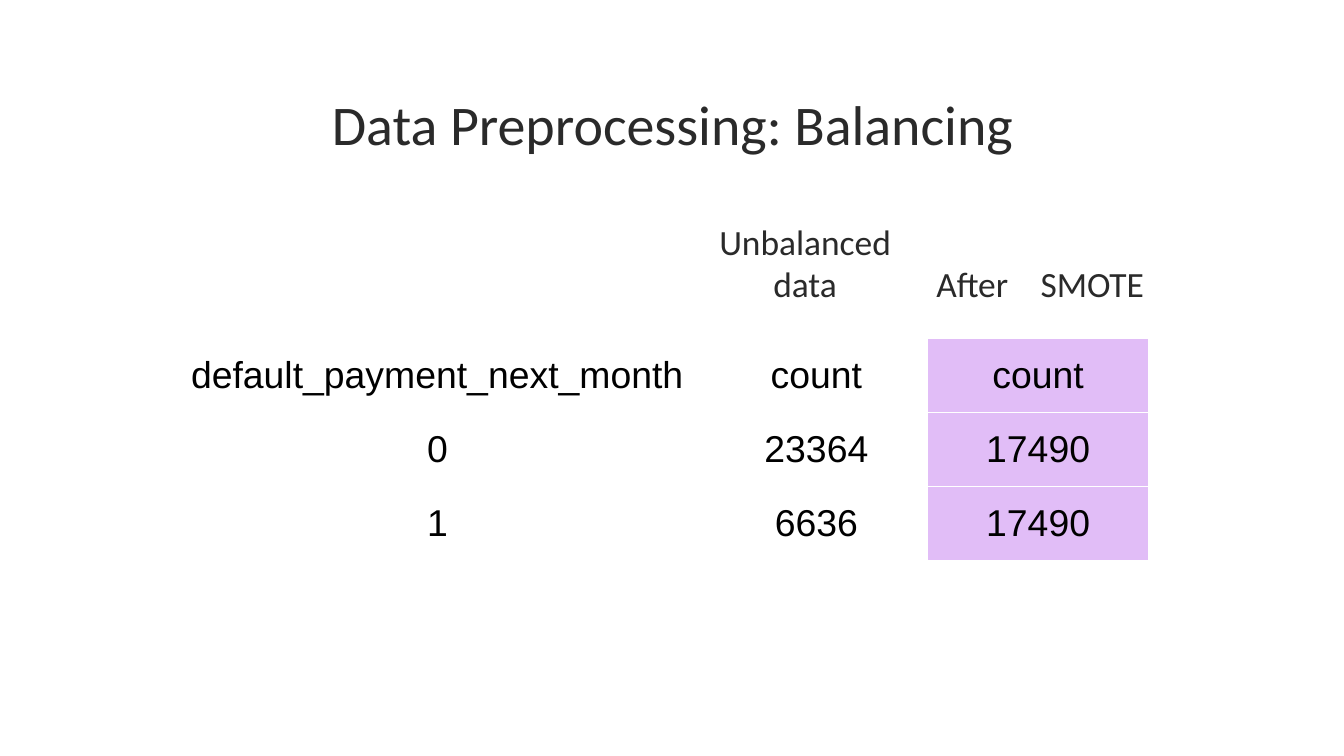
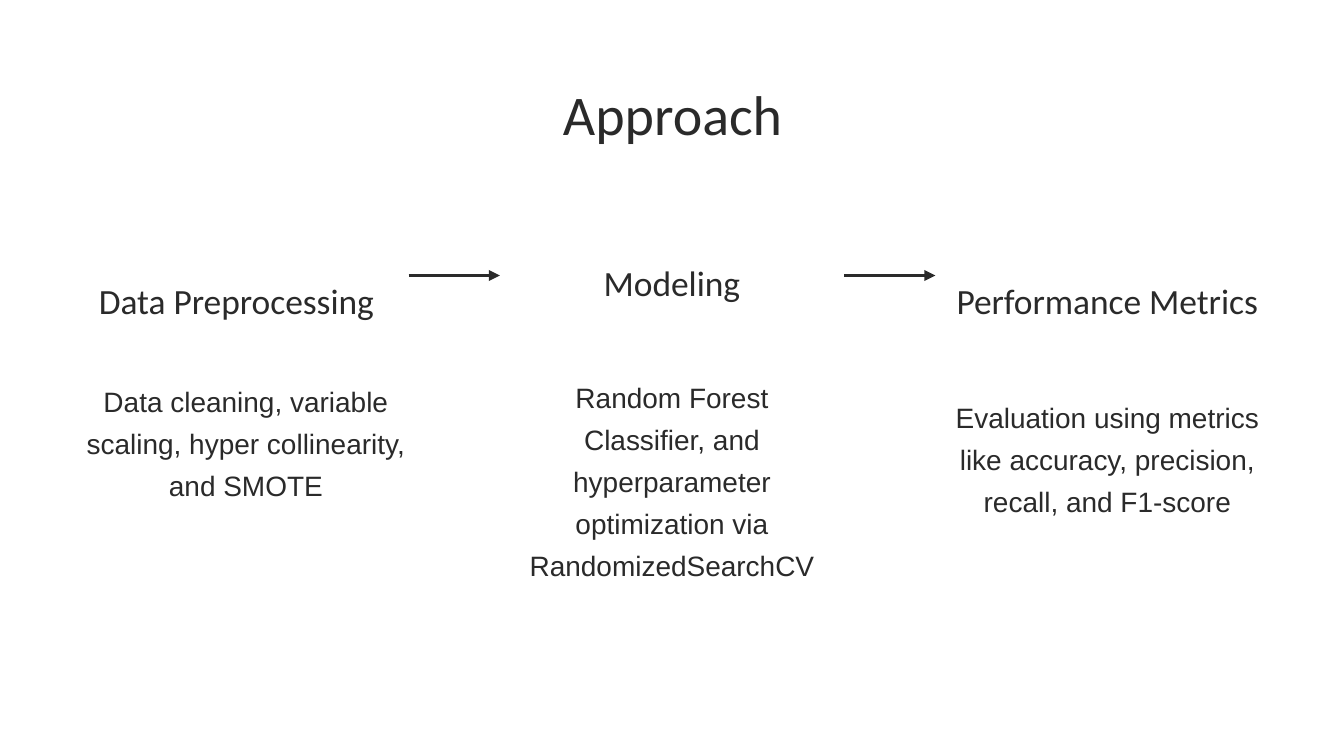
from lxml import etree
from pptx import Presentation
from pptx import util as u
from pptx.dml.color import RGBColor
from pptx.enum import shapes, text
from pptx.oxml import ns

THEME = {
    "ink": RGBColor.from_string("2A2A2A"),
    "black": RGBColor.from_string("000000"),
    "white": RGBColor.from_string("FFFFFF"),
    "accent": RGBColor.from_string("E1BDF7"),
    "inset": u.Inches(0.1),
    "line": u.Pt(1.5),
    "border": u.Pt(0.75),
    "wide_gap": "1300",
    "title": {"name": "Calibri", "size": u.Pt(30)},
    "heading": {"name": "Calibri", "size": u.Pt(19)},
    "body": {"name": "Arial", "size": u.Pt(15)},
    "cell": {"name": "Arial", "size": u.Pt(20)},
}
TITLE_BOX = (0.79, 0.49, 8.43, 0.63)
SIDES = ("left", "top", "right", "bottom")
TOP, BOTTOM, MIDDLE = text.MSO_ANCHOR.TOP, text.MSO_ANCHOR.BOTTOM, text.MSO_ANCHOR.MIDDLE


def write(tf, pieces, style, color, spacing=1.0):
    p = tf.paragraphs[0]
    for name, value in {"alignment": text.PP_ALIGN.CENTER, "line_spacing": spacing}.items():
        setattr(p, name, value)
    for piece in pieces:
        r = p.add_run()
        r.text = piece
        for name, value in THEME[style].items():
            setattr(r.font, name, value)
        r.font.color.rgb = color
        if piece == " ":
            r._r.get_or_add_rPr().set("spc", THEME["wide_gap"])


def add_text(s, box, pieces, style, anchor=TOP, spacing=1.0):
    sp = s.shapes.add_textbox(*map(u.Inches, box))
    tf = sp.text_frame
    frame = {"word_wrap": True, "auto_size": text.MSO_AUTO_SIZE.NONE, "vertical_anchor": anchor}
    frame.update({f"margin_{side}": THEME["inset"] for side in SIDES})
    for name, value in frame.items():
        setattr(tf, name, value)
    write(tf, pieces, style, THEME["ink"], spacing)
    return sp


prs = Presentation()
prs.slide_width, prs.slide_height = u.Inches(10), u.Inches(10 * 9 / 16)
slides = []
for title, spacing in (("Data Preprocessing: Balancing", 1.15), ("Approach", 1.0)):
    s = prs.slides.add_slide(prs.slide_layouts[6])
    s.background.fill.solid()
    s.background.fill.fore_color.rgb = THEME["white"]
    add_text(s, TITLE_BOX, [title], "title", spacing=spacing)
    slides.append(s)
balancing, approach = slides

for left, pieces in ((5, ["Unbalanced data"]), (6.75, ["After", " ", "SMOTE"])):
    add_text(balancing, (left, 1.56, 1.98, 0.81), pieces, "heading", BOTTOM)

counts = [
    ("default_payment_next_month", "count", "count"),
    ("0", "23364", "17490"),
    ("1", "6636", "17490"),
]
widths = (3.99, 1.65, 1.65)
row_height = 0.55
table = balancing.shapes.add_table(
    len(counts), len(widths), u.Inches(1.26), u.Inches(2.52),
    u.Inches(sum(widths)), u.Inches(row_height * len(counts)),
).table
table.first_row = table.horz_banding = False
for column, width in zip(table.columns, widths):
    column.width = u.Inches(width)
for i, values in enumerate(counts):
    table.rows[i].height = u.Inches(row_height)
    for j, value in enumerate(values):
        cell = table.cell(i, j)
        cell.vertical_anchor = MIDDLE
        for side in SIDES:
            setattr(cell, f"margin_{side}", THEME["inset"])
        write(cell.text_frame, [value], "cell", THEME["black"])
        props = cell._tc.get_or_add_tcPr()
        for edge in ("lnL", "lnR", "lnT", "lnB"):
            ln = etree.SubElement(props, ns.qn(f"a:{edge}"), w=str(THEME["border"]))
            fill = etree.SubElement(ln, ns.qn("a:solidFill"))
            etree.SubElement(fill, ns.qn("a:srgbClr"), val=str(THEME["white"]))
        if j == 2:
            cell.fill.solid()
            cell.fill.fore_color.rgb = THEME["accent"]
        else:
            cell.fill.background()

steps = [
    ("Data Preprocessing", 1.61, 0.88,
     "Data cleaning, variable scaling, hyper collinearity, and SMOTE", 2.7, 2.7, 1.26),
    ("Modeling", 1.74, 0.62,
     "Random Forest Classifier, and hyperparameter optimization via RandomizedSearchCV",
     2.67, 2.56, 1.21),
    ("Performance Metrics", 1.61, 0.88,
     "Evaluation using metrics like accuracy, precision, recall, and F1-score", 2.82, 2.56, 1.03),
]
headings = []
for i, (name, top, height, detail, body_top, body_width, body_height) in enumerate(steps):
    left = 0.48 + 3.24 * i
    add_text(approach, (left, body_top, body_width, body_height), [detail], "body", spacing=1.25)
    headings.append(add_text(approach, (left, top, 2.56, height), [name], "heading", BOTTOM))

for before, after in zip(headings, headings[1:]):
    arrow = approach.shapes.add_connector(shapes.MSO_CONNECTOR.STRAIGHT, 0, 0, 0, 0)
    arrow.begin_connect(before, 3)
    arrow.end_connect(after, 1)
    arrow.line.color.rgb = THEME["ink"]
    arrow.line.width = THEME["line"]
    etree.SubElement(arrow.line._get_or_add_ln(), ns.qn("a:tailEnd"), type="triangle")
    etree.SubElement(arrow._element.spPr, ns.qn("a:effectLst"))

prs.save("out.pptx")
